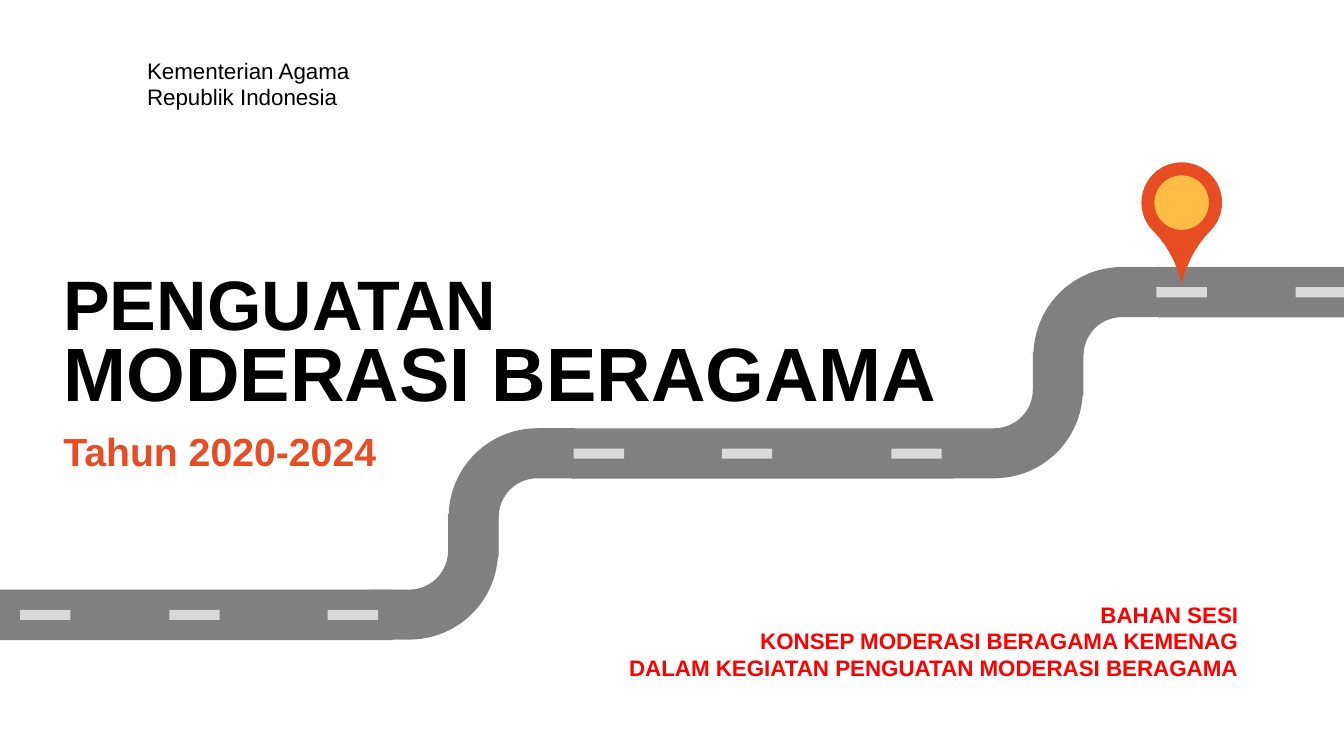
from pptx import Presentation
from pptx.dml.color import RGBColor
from pptx.enum.shapes import MSO_SHAPE as Preset
from pptx.enum.text import MSO_ANCHOR as Anchor, MSO_AUTO_SIZE as AutoSize, PP_ALIGN as Align
from pptx.util import Inches, Pt

ASPHALT = RGBColor(0x80, 0x80, 0x80)
MARKING = RGBColor(0xD9, 0xD9, 0xD9)
ORANGE = RGBColor(0xE8, 0x4C, 0x22)
AMBER = RGBColor(0xFF, 0xBD, 0x47)
BLACK = RGBColor(0x00, 0x00, 0x00)
RED = RGBColor(0xFF, 0x00, 0x00)

# The grid has square cells: ten columns and ten rows to the inch
CELLS_PER_INCH = 10
ROAD_WIDTH = 5
BEND_SIZE = (12.5, 13)
BEND_ADJUSTMENTS = (0.397, 0.218, 0, 0.703)


class RoadSlide:
    font_name = "Arial"

    def __init__(self, deck):
        self.slide = deck.slides.add_slide(deck.slide_layouts[6])

    def cells(self, *counts):
        return [Inches(count / CELLS_PER_INCH) for count in counts]

    def preset(self, kind, column, row, width, height, color, rotation=0, adjustments=()):
        shape = self.slide.shapes.add_shape(kind, *self.cells(column, row, width, height))
        shape.shadow.inherit = False
        shape.fill.solid()
        shape.fill.fore_color.rgb = color
        shape.line.fill.background()
        shape.rotation = rotation
        for index, value in enumerate(adjustments):
            shape.adjustments[index] = value
        return shape

    def straight(self, column, row, width, dash_columns):
        self.preset(Preset.RECTANGLE, column, row, width, ROAD_WIDTH, ASPHALT)
        for dash_column in dash_columns:
            self.preset(Preset.RECTANGLE, dash_column, row + 2, 5, 1, MARKING)

    def climb(self, column, row):
        """Two bends: the lower one turns up, the upper one turns right."""
        lower = self.preset(Preset.BENT_ARROW, column, row, *BEND_SIZE, ASPHALT,
                            90, BEND_ADJUSTMENTS)
        lower._element.spPr.xfrm.set("flipH", "1")
        self.preset(Preset.BENT_ARROW, column + 7.6, row - 8.45, *BEND_SIZE, ASPHALT,
                    adjustments=BEND_ADJUSTMENTS)

    def pin(self, column, row, size, rim):
        self.preset(Preset.TEAR, column, row, size, size, ORANGE, 135, (1.419,))
        inner = size - 2 * rim
        self.preset(Preset.OVAL, column + rim, row + rim, inner, inner, AMBER)

    def text(self, lines, column, row, width, height, size, color, bold=True,
             align=Align.LEFT, anchor=Anchor.MIDDLE, wrap=True):
        box = self.slide.shapes.add_textbox(*self.cells(column, row, width, height))
        frame = box.text_frame
        frame.word_wrap = wrap
        frame.auto_size = AutoSize.SHAPE_TO_FIT_TEXT
        frame.vertical_anchor = anchor
        frame.text = "\n".join(lines)
        for paragraph in frame.paragraphs:
            paragraph.alignment = align
            font = paragraph.font
            font.name, font.size, font.bold = self.font_name, Pt(size), bold
            font.color.rgb = color


def main():
    deck = Presentation()
    deck.slide_width, deck.slide_height = Inches(13.33), Inches(7.5)
    cover = RoadSlide(deck)

    # Road climbing from lower left to upper right
    cover.climb(36.9, 50.7)
    cover.climb(94.9, 34.7)
    cover.straight(-5.4, 58.5, 44.4, (2, 16.8, 32.5))
    cover.straight(56.7, 42.5, 37.9, (56.9, 71.6, 88.4))
    cover.straight(114.9, 26.5, 21, (114.7, 128.5))

    # Destination pin
    cover.pin(113.2, 16.1, 8, 1.3)

    # Ministry
    cover.text(["Kementerian Agama", "Republik Indonesia"],
               13.6, 5.1, 28.1, 6.4, 16, BLACK, bold=False)

    # Title and years
    cover.text(["PENGUATAN"], 5.3, 25.3, 49.4, 9.4, 50, BLACK)
    cover.text(["MODERASI BERAGAMA"], 5.3, 31.8, 93, 10.1, 54, BLACK)
    cover.text(["Tahun 2020-2024"], 5.3, 41.9, 37.2, 5.7, 28, ORANGE)

    # Session
    cover.text(["BAHAN SESI", "KONSEP MODERASI BERAGAMA KEMENAG",
                "DALAM KEGIATAN PENGUATAN MODERASI BERAGAMA"],
               60.5, 59.1, 63.3, 9.1, 16, RED,
               align=Align.RIGHT, anchor=Anchor.TOP, wrap=False)

    deck.save("out.pptx")


if __name__ == "__main__":
    main()
